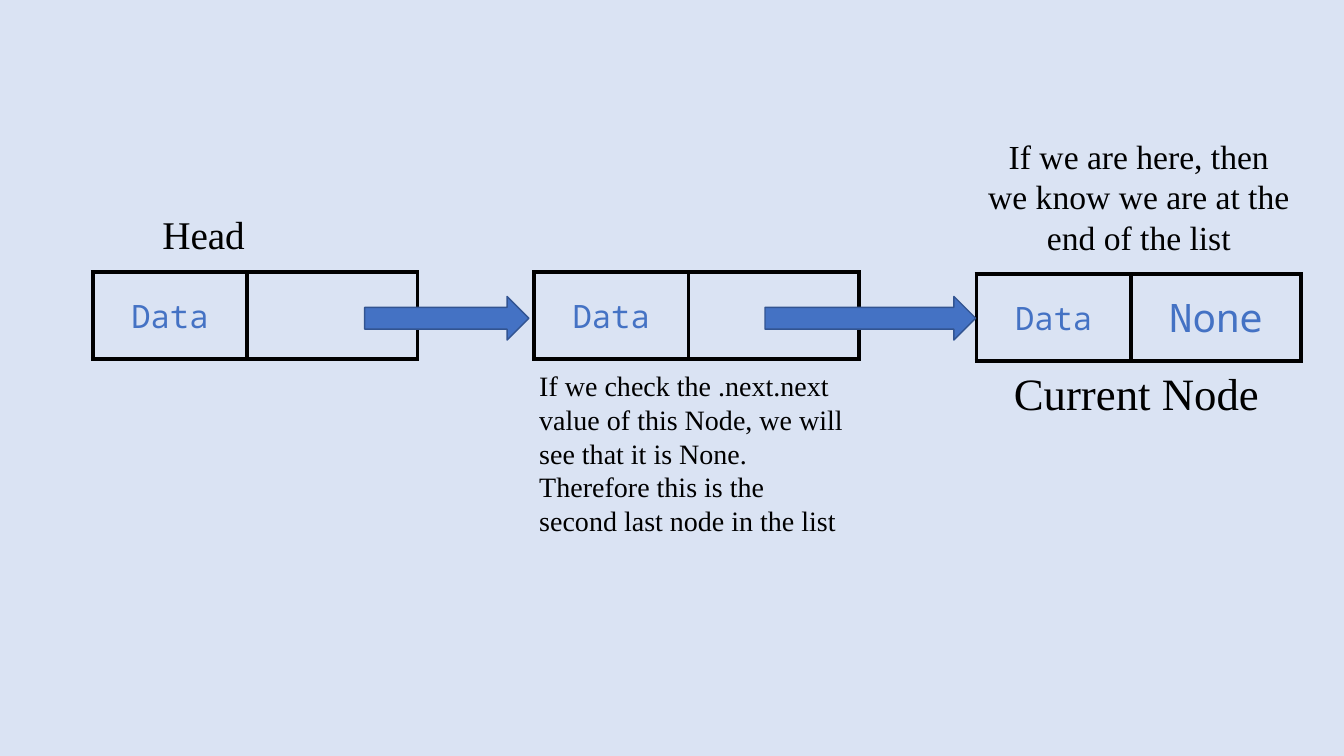
from dataclasses import dataclass

from lxml.etree import SubElement
from pptx import Presentation
from pptx.dml.color import RGBColor
from pptx.enum.shapes import MSO_SHAPE as Preset
from pptx.enum.text import MSO_ANCHOR as Anchor, MSO_AUTO_SIZE as AutoSize, PP_ALIGN as Align
from pptx.oxml.ns import qn
from pptx.util import Cm, Pt


@dataclass(frozen=True)
class Theme:
    """Colours, fonts and type sizes of the slide."""
    background: str = "DAE3F3"
    accent: str = "4472C4"
    arrow_edge: str = "325491"
    ink: str = "000000"
    code_font: str = "Noto Sans Mono"
    text_font: str = "Times New Roman"
    data_size: int = 23
    none_size: int = 28
    head_size: int = 28
    current_size: int = 32
    end_note_size: int = 24
    check_note_size: int = 20
    border: float = 3
    arrow_line: float = 1


THEME = Theme()
NODE_WIDTHS = (3.89, 4.29)
NODE_HEIGHT = 2.18
NOTE_WIDTH = sum(NODE_WIDTHS)
ARROW_TOP, ARROW_HEIGHT = 7.47, 1.1


def apply_format(target, values):
    """Set each named attribute of the target."""
    for attribute, value in values.items():
        setattr(target, attribute, value)


def write(frame, words, font, size, color, align):
    """Write one formatted paragraph into a text frame."""
    paragraph = frame.paragraphs[0]
    paragraph.alignment = align
    run = paragraph.add_run()
    run.text = words
    apply_format(run.font, {"name": font, "size": Pt(size)})
    run.font.color.rgb = RGBColor.from_string(color)


def outline_cell(cell):
    """Give a cell solid borders on all sides and no fill."""
    properties = cell._tc.get_or_add_tcPr()
    for side in ("a:lnL", "a:lnR", "a:lnT", "a:lnB"):
        edge = SubElement(properties, qn(side), w=str(Pt(THEME.border)))
        SubElement(SubElement(edge, qn("a:solidFill")), qn("a:srgbClr"), val=THEME.ink)
    cell.fill.background()


def add_node(slide, left, top, pointer=""):
    """Draw a list node with a data cell and a pointer cell."""
    table = slide.shapes.add_table(
        1, 2, Cm(left), Cm(top), Cm(NOTE_WIDTH), Cm(NODE_HEIGHT)).table
    apply_format(table, {"first_row": False, "horz_banding": False})
    contents = (("Data", THEME.data_size), (pointer, THEME.none_size))
    for column, (words, size) in enumerate(contents):
        table.columns[column].width = Cm(NODE_WIDTHS[column])
        cell = table.cell(0, column)
        outline_cell(cell)
        apply_format(cell, {
            "vertical_anchor": Anchor.MIDDLE,
            "margin_left": Cm(0.2), "margin_right": Cm(0.2),
            "margin_top": Cm(0.1), "margin_bottom": Cm(0.1),
        })
        if words:
            write(cell.text_frame, words, THEME.code_font, size, THEME.accent, Align.CENTER)


def add_pointer(slide, left, width):
    """Draw a block arrow leading to the next node."""
    pointer = slide.shapes.add_shape(
        Preset.RIGHT_ARROW, Cm(left), Cm(ARROW_TOP), Cm(width), Cm(ARROW_HEIGHT))
    pointer.shadow.inherit = False
    pointer.fill.solid()
    pointer.fill.fore_color.rgb = RGBColor.from_string(THEME.accent)
    pointer.line.color.rgb = RGBColor.from_string(THEME.arrow_edge)
    pointer.line.width = Pt(THEME.arrow_line)


def add_label(slide, words, box, size, align=Align.LEFT, wrap=True):
    """Place a caption in the text font."""
    frame = slide.shapes.add_textbox(*map(Cm, box)).text_frame
    apply_format(frame, {"word_wrap": wrap, "auto_size": AutoSize.SHAPE_TO_FIT_TEXT})
    write(frame, words, THEME.text_font, size, THEME.ink, align)


def main():
    """Build the linked list slide."""
    deck = Presentation()
    apply_format(deck, {"slide_width": Cm(33.87), "slide_height": Cm(19.05)})
    slide = deck.slides.add_slide(deck.slide_layouts[6])
    slide.background.fill.solid()
    slide.background.fill.fore_color.rgb = RGBColor.from_string(THEME.background)

    add_node(slide, 2.34, 6.86)
    add_node(slide, 13.46, 6.86)
    add_node(slide, 24.61, 6.91, "None")
    add_pointer(slide, 9.19, 4.14)
    add_pointer(slide, 19.28, 5.31)

    add_label(slide, "If we are here, then we know we are at the end of the list",
              (24.61, 3.3, NOTE_WIDTH, 3.33), THEME.end_note_size, Align.CENTER)
    add_label(slide, "Head", (3.84, 5.18, 2.59, 1.45), THEME.head_size, wrap=False)
    add_label(slide, "Current Node", (25.3, 9.09, 6.76, 1.63), THEME.current_size, wrap=False)
    add_label(slide, "If we check the .next.next value of this Node, we will see that it is None. "
              "Therefore this is the second last node in the list",
              (13.34, 9.17, NOTE_WIDTH, 4.52), THEME.check_note_size)
    deck.save("out.pptx")


if __name__ == "__main__":
    main()
